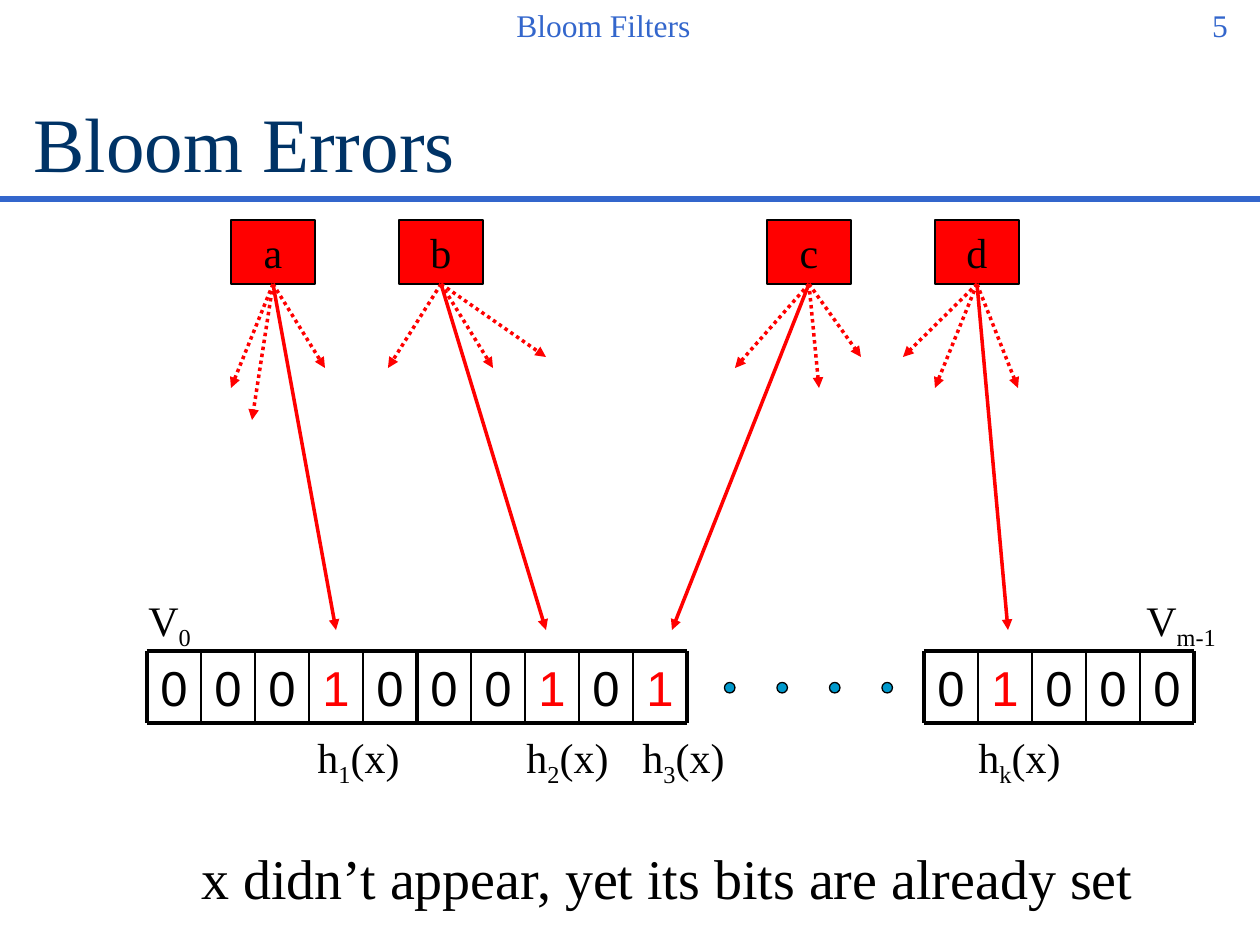
import pptx
import pptx.util
import pptx.dml.color
import pptx.enum.dml
import pptx.enum.shapes
import pptx.enum.text
import pptx.oxml.ns
import lxml.etree

EMU_PER_PIXEL = 914400 / 126
COLORS = {"black": "000000", "red": "FF0000", "title": "003366",
          "accent": "3366CC", "dot": "0099CC"}
SERIF, SANS = "Times New Roman", "Arial"
ALIGN = pptx.enum.text.PP_ALIGN
ANCHOR = pptx.enum.text.MSO_ANCHOR
SHAPE = pptx.enum.shapes.MSO_SHAPE

CELL_WIDTH, ROW_TOP, ROW_BOTTOM = 54, 651, 723
BOX_TOP, BOX_WIDTH, BOX_HEIGHT = 220, 84, 64

# Left edge and bits of each run of cells in the vector
BIT_ROWS = [(147, "00010"), (417, "00101"), (924, "01000")]

# Item: left edge of its box, hit cell, ends of its other hashes
ITEMS = {
    "a": (231, (336, 630), [(231, 388), (252, 420), (325, 368)]),
    "b": (399, (546, 630), [(493, 368), (546, 357), (388, 368)]),
    "c": (767, (672, 630), [(819, 388), (735, 368), (861, 357)]),
    "d": (935, (1008, 630), [(935, 388), (1018, 388), (903, 357)]),
}

# Label: left, top, width, letter, subscript, ending
LABELS = [
    (305, 725, 110, "h", "1", "(x)"),
    (514, 725, 110, "h", "2", "(x)"),
    (630, 725, 110, "h", "3", "(x)"),
    (966, 725, 110, "h", "k", "(x)"),
    (136, 588, 69, "V", "0", ""),
    (1134, 588, 101, "V", "m-1", ""),
]


def px(value):
    return pptx.util.Emu(round(value * EMU_PER_PIXEL))


def rgb(name):
    return pptx.dml.color.RGBColor.from_string(COLORS[name])


def add_run(paragraph, text, size, color="black", font=SERIF, subscript=False):
    run = paragraph.add_run()
    run.text = text
    run.font.size = pptx.util.Pt(size)
    run.font.name = font
    run.font.color.rgb = rgb(color)
    if subscript:
        run.font._element.set("baseline", "-25000")


def add_text(slide, left, top, width, height, align=ALIGN.LEFT):
    shape = slide.shapes.add_textbox(px(left), px(top), px(width), px(height))
    shape.text_frame.word_wrap = False
    paragraph = shape.text_frame.paragraphs[0]
    paragraph.alignment = align
    return shape, paragraph


def add_line(shapes, start, end, color="black", width=2.25, arrow=False, dotted=False):
    line = shapes.add_connector(pptx.enum.shapes.MSO_CONNECTOR.STRAIGHT,
                                px(start[0]), px(start[1]), px(end[0]), px(end[1]))
    line.line.color.rgb = rgb(color)
    line.line.width = pptx.util.Pt(width)
    if dotted:
        line.line.dash_style = pptx.enum.dml.MSO_LINE.ROUND_DOT
    qn = pptx.oxml.ns.qn
    properties = line._element.spPr
    if arrow:
        lxml.etree.SubElement(properties.find(qn("a:ln")), qn("a:tailEnd"), type="triangle")
    lxml.etree.SubElement(properties, qn("a:effectLst"))


def add_shape(shapes, kind, left, top, width, height, fill=None):
    shape = shapes.add_shape(kind, px(left), px(top), px(width), px(height))
    shape.shadow.inherit = False
    if fill:
        shape.fill.solid()
        shape.fill.fore_color.rgb = rgb(fill)
        shape.line.color.rgb = rgb("black")
        shape.line.width = pptx.util.Pt(0.75)
    else:
        shape.fill.background()
        shape.line.fill.background()
    return shape


def write_centered(shape, text, size, color, font, anchor):
    shape.text_frame.vertical_anchor = anchor
    paragraph = shape.text_frame.paragraphs[0]
    paragraph.alignment = ALIGN.CENTER
    add_run(paragraph, text, size, color, font)


def add_bit_row(slide, left, bits):
    shapes = slide.shapes.add_group_shape().shapes
    right = left + len(bits) * CELL_WIDTH
    for index, bit in enumerate(bits):
        cell = add_shape(shapes, SHAPE.FLOWCHART_DOCUMENT, left + index * CELL_WIDTH,
                         ROW_TOP, CELL_WIDTH, ROW_BOTTOM - ROW_TOP)
        write_centered(cell, bit, 28, "red" if bit == "1" else "black", SANS, ANCHOR.TOP)
    for y in (ROW_TOP, ROW_BOTTOM):
        add_line(shapes, (left, y), (right, y))
    for index in range(len(bits) + 1):
        x = left + index * CELL_WIDTH
        add_line(shapes, (x, ROW_TOP), (x, ROW_BOTTOM),
                 width=2.25 if index in (0, len(bits)) else 1)


def add_item(slide, name, left, hit, others):
    box = add_shape(slide.shapes, SHAPE.RECTANGLE, left, BOX_TOP, BOX_WIDTH, BOX_HEIGHT, "red")
    write_centered(box, name, 24, "black", SERIF, ANCHOR.MIDDLE)
    start = (left + BOX_WIDTH / 2, BOX_TOP + BOX_HEIGHT)
    add_line(slide.shapes, start, hit, "red", 2, arrow=True)
    for end in others:
        add_line(slide.shapes, start, end, "red", 2, arrow=True, dotted=True)


def add_header(slide):
    add_line(slide.shapes, (0, 199), (1260, 199), "accent", 3)
    number, paragraph = add_text(slide, 1198, 0, 62, 50, ALIGN.RIGHT)
    number.text_frame.margin_right = px(32)
    add_run(paragraph, "5", 18, "accent")
    paragraph = add_text(slide, 504, 0, 199, 50, ALIGN.RIGHT)[1]
    add_run(paragraph, "Bloom Filters", 18, "accent")

    title = slide.shapes.title
    title.left, title.top, title.width, title.height = px(21), px(63), px(1212), px(158)
    title.text_frame.vertical_anchor = ANCHOR.MIDDLE
    paragraph = title.text_frame.paragraphs[0]
    paragraph.alignment = ALIGN.LEFT
    add_run(paragraph, "Bloom Errors", 44, "title")


def main():
    presentation = pptx.Presentation()
    presentation.slide_width, presentation.slide_height = px(1260), px(945)
    slide = presentation.slides.add_slide(presentation.slide_layouts[5])
    add_header(slide)

    # Bit vector with its gap
    for left, bits in BIT_ROWS:
        add_bit_row(slide, left, bits)
    for index in range(4):
        add_shape(slide.shapes, SHAPE.OVAL, 724.5 + index * 52.5, 682.5, 10.5, 10.5, "dot")

    # Labels with subscripts
    for left, top, width, letter, subscript, ending in LABELS:
        paragraph = add_text(slide, left, top, width, 63)[1]
        add_run(paragraph, letter, 24)
        add_run(paragraph, subscript, 24, subscript=True)
        if ending:
            add_run(paragraph, ending, 24)

    # Items and their hashes
    for name, (left, hit, others) in ITEMS.items():
        add_item(slide, name, left, hit, others)

    # Conclusion
    paragraph = add_text(slide, 189, 837, 960, 80)[1]
    add_run(paragraph, "x didn’t appear, yet its bits are already set", 32)
    presentation.save("out.pptx")


main()
